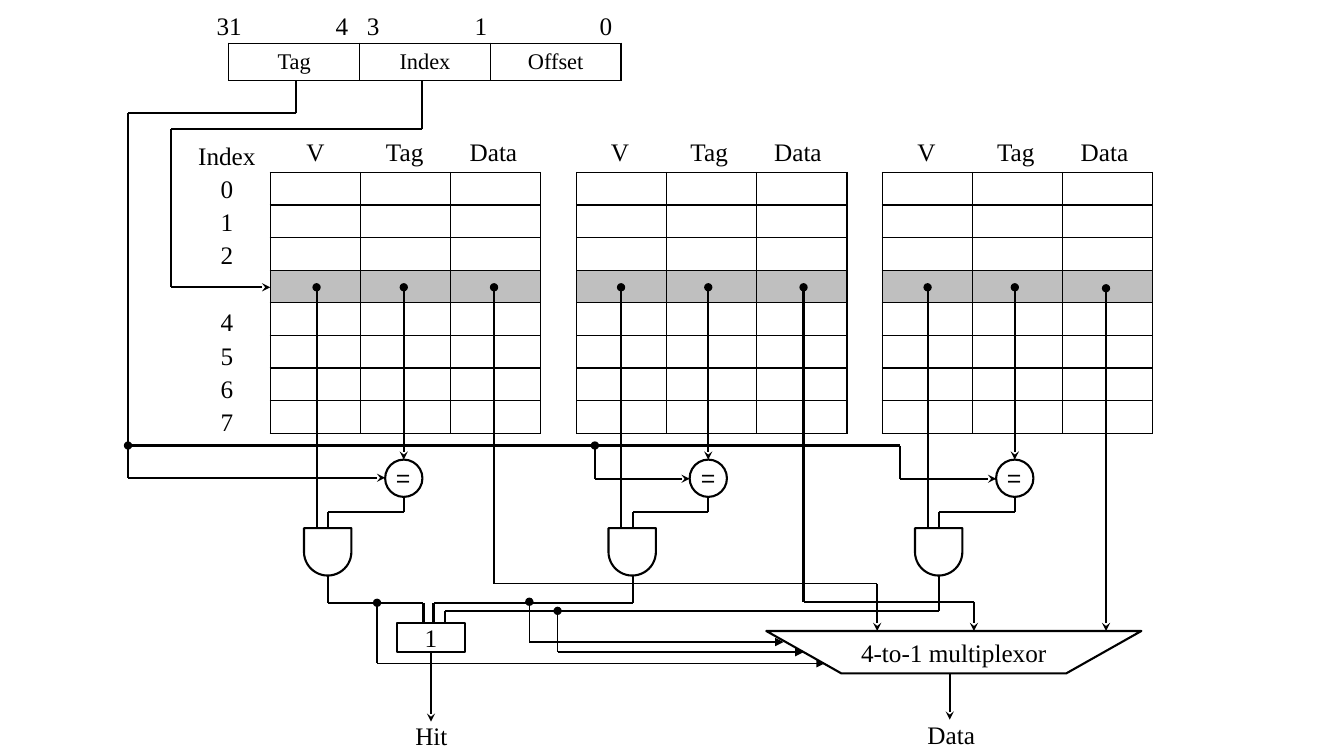
from pptx import Presentation
from pptx.dml.color import RGBColor
from pptx.enum.shapes import MSO_CONNECTOR as LINE, MSO_SHAPE as SHAPE
from pptx.enum.text import MSO_ANCHOR as ANCHOR, PP_ALIGN as ALIGN
from pptx.oxml import parse_xml
from pptx.oxml.ns import nsdecls, qn
from pptx.util import Inches, Pt
from lxml.etree import SubElement

SERIF = "Times New Roman"
SANS = "Noto Sans CJK SC"
BLACK, WHITE, GREY = "000000", "FFFFFF", "BFBFBF"
rgb = RGBColor.from_string

prs = Presentation()
prs.slide_width, prs.slide_height = Inches(13.33), Inches(7.5)
s = prs.slides.add_slide(prs.slide_layouts[6])
unit = prs.slide_height / 75


def write(tf, text, size=18, font=SERIF, align=ALIGN.CENTER):
    tf.text = text
    for p in tf.paragraphs:
        p.alignment = align
        for r in p.runs:
            r.font.size, r.font.name = Pt(size), font
            r.font.color.rgb = rgb(BLACK)


def wire(*points, width=1.5, head="none", tail="none"):
    last = len(points) - 2
    for i, ends in enumerate(zip(points, points[1:])):
        xy = [round(v * unit) for point in ends for v in point]
        c = s.shapes.add_connector(LINE.STRAIGHT, *xy)
        c.line.width, c.line.color.rgb = Pt(width), rgb(BLACK)
        ln = c.line._get_or_add_ln()
        SubElement(ln, qn("a:headEnd"), type=head if i == 0 else "none")
        SubElement(ln, qn("a:tailEnd"), type=tail if i == last else "none")
        SubElement(c._element.spPr, qn("a:effectLst"))
    return c


tables = [
    (26.8, 17.1, 26.8, 25.9, 8, ()),
    (57.2, 17.1, 26.8, 25.9, 8, ()),
    (87.5, 17.1, 26.8, 25.9, 8, ()),
    (22.7, 4.3, 38.9, 3.7, 1, ("Tag", "Index", "Offset")),
]
for x, y, w, h, rows, names in tables:
    box = [round(v * unit) for v in (x, y, w, h)]
    table = s.shapes.add_table(rows, 3, *box).table
    table.first_row = table.horz_banding = False
    for i, cell in enumerate(table.iter_cells()):
        cell.margin_top = cell.margin_bottom = 0
        cell.vertical_anchor = ANCHOR.MIDDLE
        if names:
            write(cell.text_frame, names[i], size=16)
        if i // 3 == 3:
            cell.fill.solid()
            cell.fill.fore_color.rgb = rgb(GREY)
        else:
            cell.fill.background()
        for k, side in enumerate("LRTB"):
            cell._tc.get_or_add_tcPr().insert(k, parse_xml(
                f'<a:ln{side} {nsdecls("a")} w="12700"><a:solidFill>'
                f'<a:srgbClr val="{BLACK}"/></a:solidFill></a:ln{side}>'))

valid_x = (31.4, 61.6, 92)
data_x = (49, 79.7, 109.7)
labels = [
    ("31\t4\t3\t1\t0", 20.5, 0.5, 43, 4),
    ("Index\n0\n1\n2\n4\n5\n6\n7", 18.6, 13.1, 7.8, 30.8),
    ("Hit", 40.2, 71, 5.2, 4),
    ("Data", 91, 70.9, 6.8, 4),
]
for x in valid_x:
    labels += [("V", x - 2, 13, 3.8, 4), ("Tag", x + 5.9, 13, 5.8, 4),
               ("Data", x + 14.2, 13, 6.8, 4)]
for text, *box in labels:
    tf = s.shapes.add_textbox(*[round(v * unit) for v in box]).text_frame
    write(tf, text, align=ALIGN.LEFT)
    tf.word_wrap = "\t" in text
    if "\t" in text:
        tabs = SubElement(tf.paragraphs[0]._p.get_or_add_pPr(), qn("a:tabLst"))
        for stop in (11.8, 14.9, 25.6, 38):
            SubElement(tabs, qn("a:tab"), pos=str(round(stop * unit)), algn="l")
    if "\n" in text:
        for p in tf.paragraphs:
            p.alignment, p.line_spacing = ALIGN.CENTER, 1.1
        tf.paragraphs[4].space_before = Pt(24)

parts = [
    (SHAPE.FLOWCHART_MANUAL_OPERATION, "4-to-1 multiplexor", SERIF, 76, 62.6, 37.2, 4.2),
    (SHAPE.RECTANGLE, "1", SERIF, 39.4, 61.8, 6.7, 2.9),
]
for x in valid_x:
    wire((x, 28.5), (x, 52.4), head="oval")
    wire((x + 8.65, 28.5), (x + 8.65, 45.6), head="oval", tail="stealth")
    wire((x + 8.65, 49.3), (x + 8.65, 50.8), (x + 1.15, 50.8), (x + 1.15, 52.4))
    parts += [(SHAPE.FLOWCHART_DELAY, "", SERIF, x - 1.25, 52.4, 4.7, 4.7),
              (SHAPE.OVAL, "=", SANS, x + 6.8, 45.6, 3.7, 3.7)]

gate_x = [x + 1.15 for x in valid_x]
wire((gate_x[0], 57.1), (gate_x[0], 59.8), (42, 59.8), (42, 62.4))
wire((gate_x[1], 57.1), (gate_x[1], 59.8), (43, 59.8), (43, 62.4))
wire((gate_x[2], 57.1), (gate_x[2], 60.6), (44.1, 60.6), (44.1, 62.4))

for kind, text, font, *box in parts:
    sp = s.shapes.add_shape(kind, *[round(v * unit) for v in box])
    sp.shadow.inherit = False
    sp.fill.solid()
    sp.fill.fore_color.rgb = rgb(WHITE)
    sp.line.color.rgb, sp.line.width = rgb(BLACK), Pt(1.5)
    if kind == SHAPE.FLOWCHART_DELAY:
        sp.rotation = 90
    if kind == SHAPE.RECTANGLE:
        any_hit = sp
    tf = sp.text_frame
    tf.margin_left = tf.margin_right = tf.margin_top = tf.margin_bottom = 0
    tf.vertical_anchor, tf.word_wrap = ANCHOR.MIDDLE, False
    if text:
        write(tf, text, font=font)

wire((29.4, 8), (29.4, 11.2), (12.7, 11.2), (12.7, 47.4), (38.2, 47.4), tail="stealth")
wire((41.9, 8), (41.9, 12.8), (17, 12.8), (17, 28.5), (26.8, 28.5), tail="stealth")
wire((12.7, 44.2), (89.3, 44.2), (89.3, 47.5), (98.8, 47.5), head="oval", tail="stealth")
wire((59, 44.2), (59, 47.5), (68.4, 47.5), head="oval", tail="stealth")

for x, y, end_x, end_y in ((55.3, 60.6, 79.7, 64.7), (52.5, 59.7, 77.7, 63.7),
                           (37.4, 59.8, 81.8, 65.8)):
    wire((x, y), (x, end_y), (end_x, end_y), width=1, head="oval", tail="triangle")

wire((data_x[0], 28.5), (data_x[0], 57.9), (87, 57.9), width=1, head="oval")
wire((87, 57.9), (87, 62.6), tail="stealth")
wire((data_x[1], 28.5), (data_x[1], 59.7), (96.6, 59.7), (96.6, 62.6),
     head="oval", tail="stealth")
wire((data_x[2], 28.6), (data_x[2], 62.6), head="oval", tail="stealth")
wire((94.2, 66.8), (94.2, 71.4), tail="stealth")
wire((42.75, 64.7), (42.75, 71.6), tail="stealth").begin_connect(any_hit, 2)

prs.save("out.pptx")
